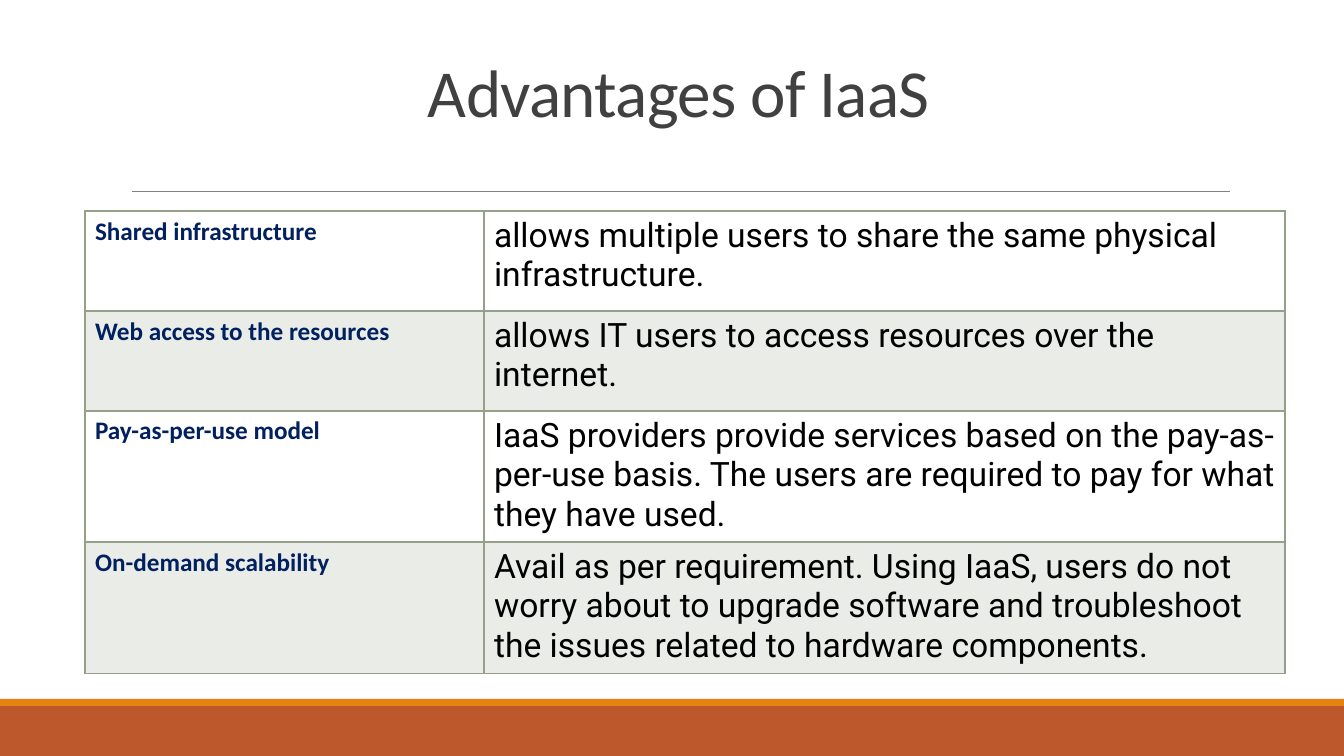
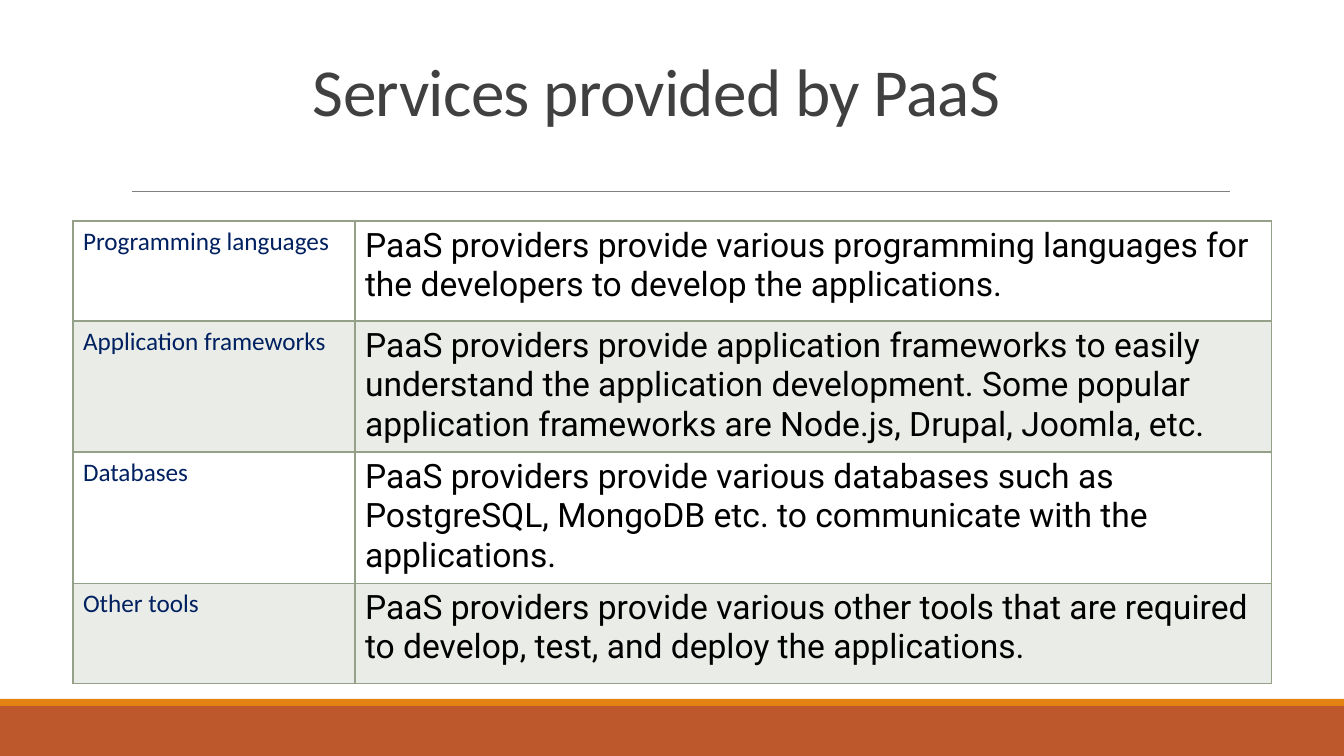
from lxml.etree import SubElement
from pptx import Presentation
from pptx.dml.color import RGBColor
from pptx.enum.shapes import MSO_CONNECTOR, MSO_SHAPE
from pptx.enum.text import MSO_ANCHOR
from pptx.oxml.ns import qn
from pptx.util import Emu, Pt

EMU_PER_PX = 914400 / 100.8
SLIDE_WIDTH, SLIDE_HEIGHT = 1344, 756
BLANK_LAYOUT = 6

RUST, ORANGE, GRAY = "BD582C", "E48312", "808080"
TITLE_COLOR, LABEL_COLOR, BODY_COLOR = "404040", "002060", "000000"
BORDER_COLOR, STRIPE_COLOR = "94A088", "EAECE7"
TITLE_FONT, BODY_FONT = "Calibri", "Roboto"

TWO_LINES, THREE_LINES = 100, 129  # row heights

IAAS_ADVANTAGES = [
    (TWO_LINES, "Shared infrastructure",
     "allows multiple users to share the same physical infrastructure."),
    (TWO_LINES, "Web access to the resources",
     "allows IT users to access resources over the internet."),
    (THREE_LINES, "Pay-as-per-use model",
     "IaaS providers provide services based on the pay-as-per-use basis. "
     "The users are required to pay for what they have used."),
    (THREE_LINES, "On-demand scalability",
     "Avail as per requirement. Using IaaS, users do not worry about to upgrade "
     "software and troubleshoot the issues related to hardware components."),
]
PAAS_SERVICES = [
    (TWO_LINES, "Programming languages",
     "PaaS providers provide various programming languages for the developers "
     "to develop the applications."),
    (THREE_LINES, "Application frameworks",
     "PaaS providers provide application frameworks to easily understand the "
     "application development. Some popular application frameworks are "
     "Node.js, Drupal, Joomla, etc."),
    (THREE_LINES, "Databases",
     "PaaS providers provide various databases such as PostgreSQL, MongoDB etc. "
     "to communicate with the applications."),
    (TWO_LINES, "Other tools",
     "PaaS providers provide various other tools that are required to develop, "
     "test, and deploy the applications."),
]


def px(length):
    return Emu(round(length * EMU_PER_PX))


def rgb(color):
    return RGBColor.from_string(color)


def style_font(font, name, size, color, bold=False):
    font.name = name
    font.size = Pt(size)
    font.bold = bold
    font.color.rgb = rgb(color)


def add_band(slide, top, height, color):
    band = slide.shapes.add_shape(
        MSO_SHAPE.RECTANGLE, 0, px(top), px(SLIDE_WIDTH), px(height))
    band.shadow.inherit = False
    band.fill.solid()
    band.fill.fore_color.rgb = rgb(color)
    band.line.fill.background()


def add_rule(slide, left, right, top):
    rule = slide.shapes.add_connector(
        MSO_CONNECTOR.STRAIGHT, px(left), px(top), px(right), px(top))
    rule.line.color.rgb = rgb(GRAY)
    rule.line.width = Pt(0.5)
    SubElement(rule._element.spPr, qn("a:effectLst"))


def add_title(slide, text, left, top, height, indent):
    box = slide.shapes.add_textbox(px(left), px(top), px(1109), px(height))
    frame = box.text_frame
    frame.word_wrap = True
    frame.vertical_anchor = MSO_ANCHOR.BOTTOM
    paragraph = frame.paragraphs[0]
    paragraph.text = text
    paragraph.line_spacing = 0.85
    paragraph._p.get_or_add_pPr().set("marL", str(px(indent)))
    style_font(paragraph.font, TITLE_FONT, 48, TITLE_COLOR)
    paragraph.runs[0]._r.get_or_add_rPr().set("spc", "-50")


def set_borders(cell, top=1, bottom=1):
    """Draw all four edges; widths are in points. Call before filling the cell."""
    properties = cell._tc.get_or_add_tcPr()
    for side, width in (("L", 1), ("R", 1), ("T", top), ("B", bottom)):
        edge = SubElement(properties, qn(f"a:ln{side}"), w=str(Pt(width)))
        fill = SubElement(edge, qn("a:solidFill"))
        SubElement(fill, qn("a:srgbClr"), val=BORDER_COLOR)


def fill_cell(cell, striped):
    if striped:
        cell.fill.solid()
        cell.fill.fore_color.rgb = rgb(STRIPE_COLOR)
    else:
        cell.fill.background()


def add_definition_table(slide, rows, left, top, column_widths, bold_labels):
    heights = [height for height, _, _ in rows]
    table = slide.shapes.add_table(
        len(rows), len(column_widths), px(left), px(top),
        px(sum(column_widths)), px(sum(heights))).table
    table.first_row = False
    table.horz_banding = False
    for column, width in zip(table.columns, column_widths):
        column.width = px(width)
    for index, (height, label, description) in enumerate(rows):
        table.rows[index].height = px(height)
        styles = ((label, TITLE_FONT, 18, LABEL_COLOR, bold_labels),
                  (description, BODY_FONT, 24, BODY_COLOR, False))
        for cell, (text, *style) in zip(table.rows[index].cells, styles):
            paragraph = cell.text_frame.paragraphs[0]
            paragraph.text = text
            style_font(paragraph.font, *style)
            set_borders(cell, top=2 if index == 1 else 1,
                        bottom=2 if index == 0 else 1)
            fill_cell(cell, striped=index % 2 == 1)


def add_base_slide(presentation):
    """Add a slide with the footer bands and the rule under the title."""
    slide = presentation.slides.add_slide(
        presentation.slide_layouts[BLANK_LAYOUT])
    add_band(slide, 706, 50, RUST)
    add_band(slide, 699, 7, ORANGE)
    add_rule(slide, 132, 1230, 191)
    return slide


def main():
    presentation = Presentation()
    presentation.slide_width = px(SLIDE_WIDTH)
    presentation.slide_height = px(SLIDE_HEIGHT)

    slide = add_base_slide(presentation)
    add_title(slide, "Advantages of IaaS", 116, 41, 95, indent=302)
    add_definition_table(slide, IAAS_ADVANTAGES, 85, 211, (399, 801),
                         bold_labels=True)

    slide = add_base_slide(presentation)
    add_title(slide, "Services provided by PaaS", 101, 38, 97, indent=202)
    add_definition_table(slide, PAAS_SERVICES, 73, 221, (282, 917),
                         bold_labels=False)

    presentation.save("out.pptx")


if __name__ == "__main__":
    main()
